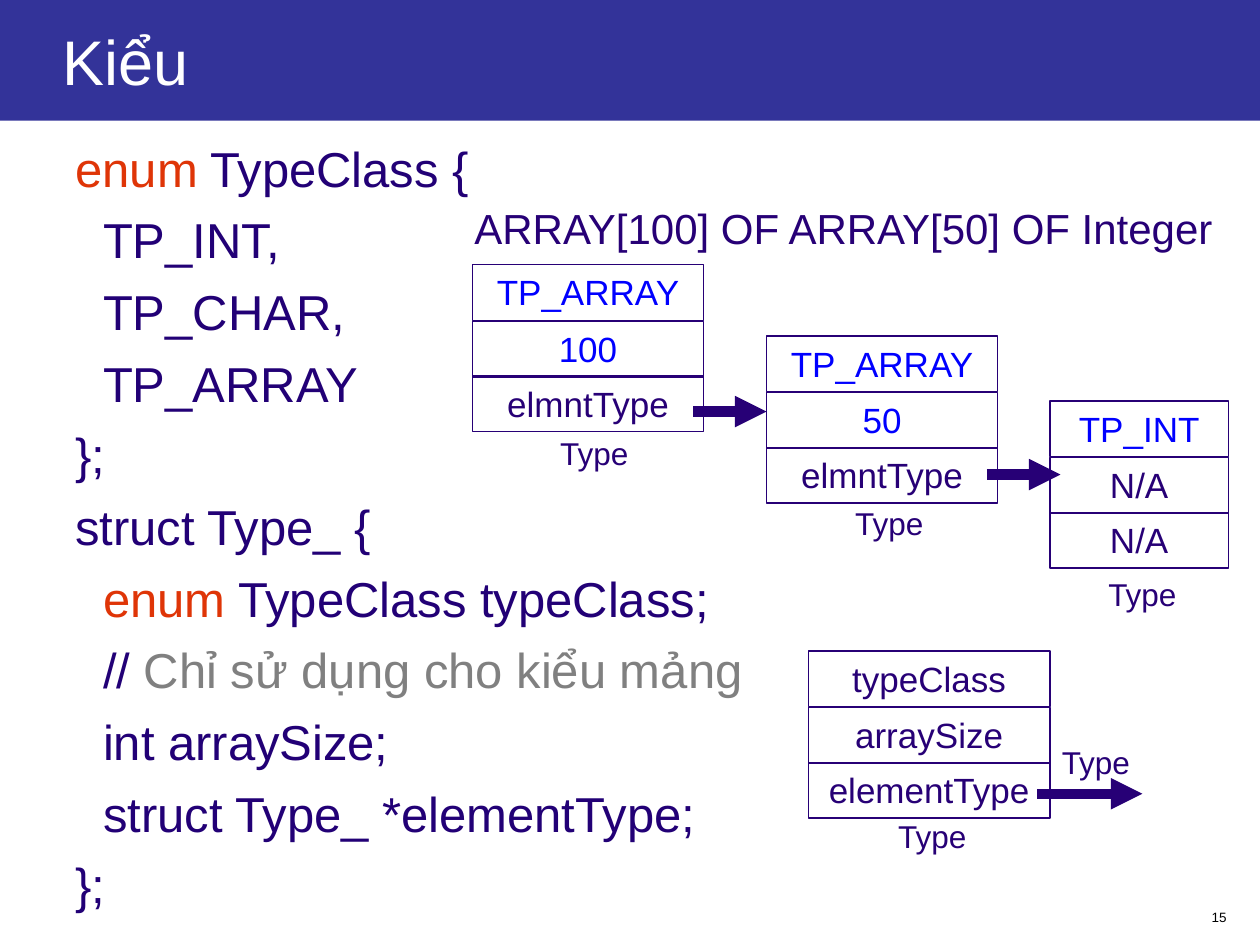
from dataclasses import dataclass
from lxml.etree import SubElement
from pptx import Presentation
from pptx.dml.color import RGBColor
from pptx.enum.shapes import MSO_CONNECTOR, MSO_SHAPE
from pptx.enum.text import MSO_ANCHOR, PP_ALIGN
from pptx.oxml.ns import qn
from pptx.util import Inches, Pt

COLS, ROWS = 120, 90
INK, CODE, KEYWORD, NOTE, VALUE = "270076", "220076", "DF3507", "808080", "0000FF"
ROW_STEPS, ROW_HEIGHT = (0, 5.4, 10.6), 5.3

prs = Presentation()
prs.slide_width, prs.slide_height = Inches(10), Inches(7.5)
s = prs.slides.add_slide(prs.slide_layouts[6])


@dataclass
class Record:
    col: float
    row: float
    width: float
    fields: tuple[tuple[str, str], ...]
    label_col: float
    label_row: float
    label_width: float


@dataclass
class Arrow:
    col: float
    row: float
    length: float


@dataclass
class CodeLine:
    runs: tuple[tuple[str, str], ...]
    indented: bool = False


def x(cols: float) -> int:
    return round(prs.slide_width * cols / COLS)


def y(rows: float) -> int:
    return round(prs.slide_height * rows / ROWS)


def rgb(color: str) -> RGBColor:
    return RGBColor.from_string(color)


def write(sp, text: str, size: float, color: str, align=PP_ALIGN.LEFT):
    tf = sp.text_frame
    tf.word_wrap = True
    p = tf.paragraphs[0]
    p.text, p.alignment = text, align
    p.font.name, p.font.size = "Arial", Pt(size)
    p.font.color.rgb = rgb(color)
    return tf


def add_text(col: float, row: float, width: float, height: float, text: str,
             size: float, color: str = INK, align=PP_ALIGN.LEFT) -> None:
    sp = s.shapes.add_textbox(x(col), y(row), x(width), y(height))
    write(sp, text, size, color, align)


def add_rect(col: float, row: float, width: float, height: float):
    sp = s.shapes.add_shape(MSO_SHAPE.RECTANGLE, x(col), y(row), x(width), y(height))
    sp.shadow.inherit = False
    return sp


def add_title(text: str) -> None:
    sp = add_rect(0, 0, COLS, 11.5)
    sp.fill.solid()
    sp.fill.fore_color.rgb = rgb("333399")
    sp.line.fill.background()
    tf = write(sp, text, 36, "FFFFFF")
    tf.margin_left = Inches(0.5)
    tf.vertical_anchor = MSO_ANCHOR.MIDDLE


def add_code(lines: list[CodeLine]) -> None:
    tf = s.shapes.add_textbox(x(6), y(12), x(73), y(76)).text_frame
    tf.word_wrap = True
    for i, line in enumerate(lines):
        p = tf.paragraphs[0] if i == 0 else tf.add_paragraph()
        p.line_spacing, p.space_before = 1.1, Pt(4)
        p.font.name, p.font.size = "Arial", Pt(28)
        if line.indented:
            p._p.get_or_add_pPr().set("marL", str(Inches(0.22)))
        for text, color in line.runs:
            r = p.add_run()
            r.text = text
            r.font.color.rgb = rgb(color)


def add_record(record: Record) -> None:
    for step, (text, color) in zip(ROW_STEPS, record.fields):
        sp = add_rect(record.col, record.row + step, record.width, ROW_HEIGHT)
        sp.fill.background()
        sp.line.color.rgb = rgb(INK)
        sp.line.width = Pt(0.75)
        tf = write(sp, text, 20, color, PP_ALIGN.CENTER)
        tf.vertical_anchor = MSO_ANCHOR.TOP
    add_text(record.label_col, record.label_row, record.label_width, 4.8,
             "Type", 18, align=PP_ALIGN.CENTER)


def add_arrow(arrow: Arrow) -> None:
    cx = s.shapes.add_connector(MSO_CONNECTOR.STRAIGHT, x(arrow.col), y(arrow.row),
                                x(arrow.col + arrow.length), y(arrow.row))
    cx.line.color.rgb = rgb(INK)
    cx.line.width = Pt(6)
    SubElement(cx.line._get_or_add_ln(), qn("a:tailEnd"), type="triangle")
    SubElement(cx._element.spPr, qn("a:effectLst"))


code = [
    CodeLine((("enum", KEYWORD), (" TypeClass {", CODE))),
    CodeLine((("TP_INT,", CODE),), True),
    CodeLine((("TP_CHAR,", CODE),), True),
    CodeLine((("TP_ARRAY", CODE),), True),
    CodeLine((("};", CODE),)),
    CodeLine((("struct Type_ {", CODE),)),
    CodeLine((("enum", KEYWORD), (" TypeClass typeClass;", CODE)), True),
    CodeLine((("// ", CODE), ("Chỉ sử dụng cho kiểu mảng", NOTE)), True),
    CodeLine((("int arraySize;", CODE),), True),
    CodeLine((("struct Type_ *elementType;", CODE),), True),
    CodeLine((("};", CODE),)),
]
records = [
    Record(77, 62, 23, (("typeClass", INK), ("arraySize", INK), ("elementType", INK)),
           81, 77.2, 15.6),
    Record(73, 32, 22, (("TP_ARRAY", VALUE), ("50", VALUE), ("elmntType", INK)),
           77.9, 47.4, 13.6),
    Record(100, 38.2, 17, (("TP_INT", VALUE), ("N/A", INK), ("N/A", INK)),
           102, 54.2, 13.6),
    Record(45, 25.2, 22, (("TP_ARRAY", VALUE), ("100", VALUE), ("elmntType", INK)),
           49.8, 40.7, 13.6),
]
arrows = [Arrow(98.8, 75.6, 10), Arrow(66, 39.2, 7), Arrow(94, 45.2, 7)]

add_text(93, 86, 25, 2.9, "15", 7.7, "000000", PP_ALIGN.RIGHT)
add_title("Kiểu")
add_code(code)
for record in records:
    add_record(record)
for arrow in arrows:
    add_arrow(arrow)
add_text(98.8, 70.2, 10, 4.8, "Type", 18, align=PP_ALIGN.RIGHT)
add_text(44, 18.7, 74, 6, "ARRAY[100] OF ARRAY[50] OF Integer", 24)

prs.save("out.pptx")
